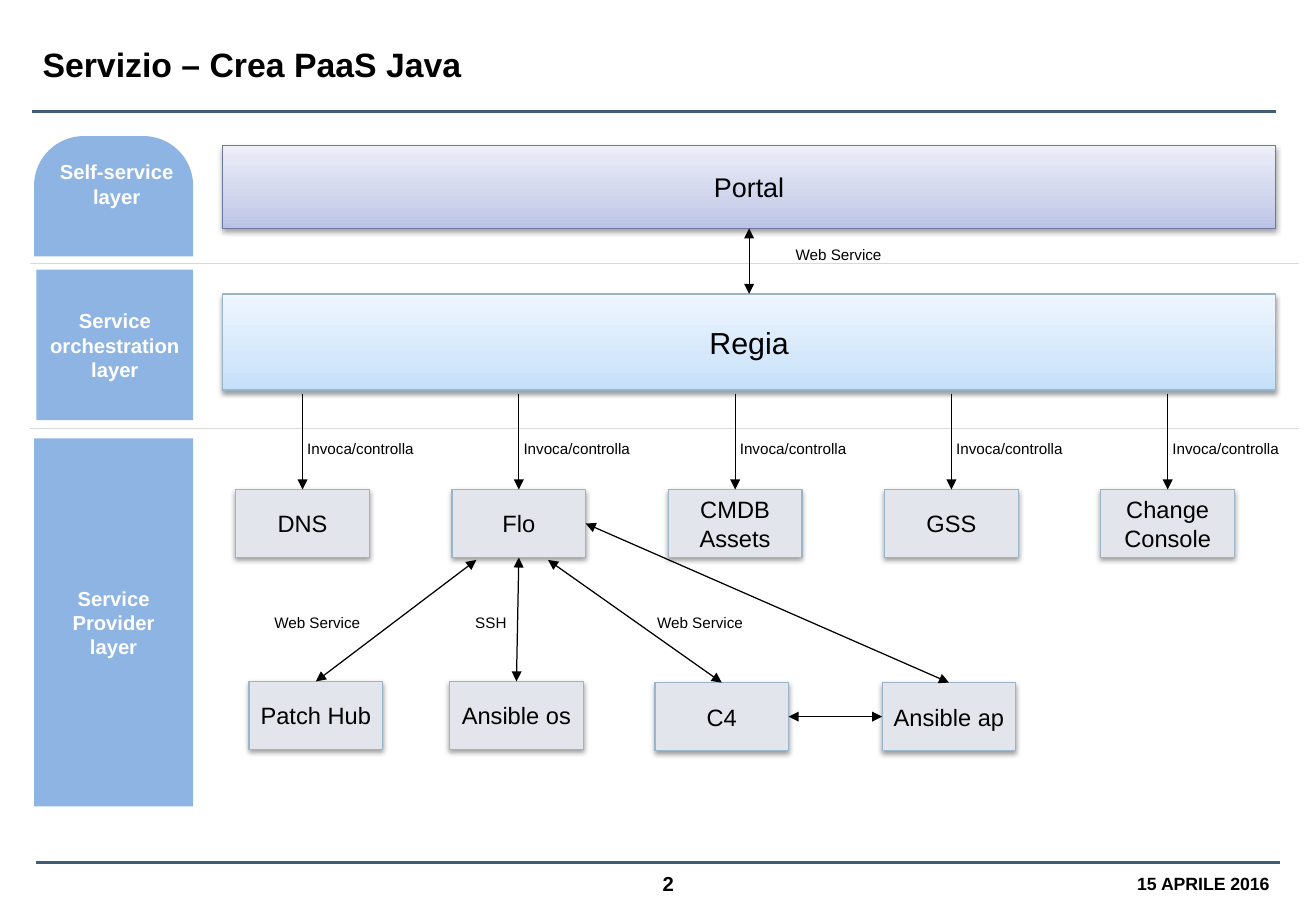
from lxml import etree
from pptx import Presentation
from pptx.dml.color import RGBColor
from pptx.enum.shapes import MSO_CONNECTOR, MSO_SHAPE
from pptx.enum.text import MSO_ANCHOR, PP_ALIGN
from pptx.oxml.ns import qn
from pptx.util import Inches, Pt

COLORS = {
    "black": "000000", "white": "FFFFFF", "rule": "3E5D78", "divider": "D9D9D9",
    "layer": "8EB4E3", "box": "E3E5ED", "box_line": "9AB4CA", "portal_line": "6E79A1",
}
# Gradient stops as (position in percent, colour), from bottom to top
PORTAL_STOPS = [(0, "BBC2E6"), (35, "CFD4EC"), (100, "ECEEF8")]
ENGINE_STOPS = [(0, "C4E0F9"), (35, "D5E8FB"), (100, "EEF6FE")]

BOX_W, BOX_H = 1.1, 0.56
SERVICE_X, SERVICE_Y, SERVICE_STEP = 1.94, 4.03, 1.78
SERVICES = ["DNS", "Flo", "CMDB Assets", "GSS", "Change Console"]
TARGETS = [("Patch Hub", 2.05, 5.61), ("Ansible os", 3.7, 5.61),
           ("C4", 5.39, 5.62), ("Ansible ap", 7.26, 5.62)]
TOP, LEFT, BOTTOM, RIGHT = range(4)


def rgb(name):
    return RGBColor.from_string(COLORS[name])


def write(sp, lines, size, color="black", bold=False, align=PP_ALIGN.CENTER,
          anchor=MSO_ANCHOR.MIDDLE, margins=(0.04, 0.04), wrap=True):
    tf = sp.text_frame
    tf.word_wrap = wrap
    tf.vertical_anchor = anchor
    tf.margin_left = tf.margin_right = Inches(margins[0])
    tf.margin_top = tf.margin_bottom = Inches(margins[1])
    for i, line in enumerate(lines):
        p = tf.add_paragraph() if i else tf.paragraphs[0]
        p.alignment = align
        r = p.add_run()
        r.text = line
        r.font.name = "Arial"
        r.font.size = Pt(size)
        r.font.bold = bold
        r.font.color.rgb = rgb(color)


def add_text(s, box, lines, size, **style):
    sp = s.shapes.add_textbox(*map(Inches, box))
    write(sp, lines, size, **style)


def add_label(s, x, y, w, text, align=PP_ALIGN.CENTER):
    add_text(s, (x, y, w, 0.25), [text], 9, align=align, anchor=MSO_ANCHOR.TOP,
             margins=(0.1, 0.05), wrap=False)


def add_layer(s, box, lines=(), shape=MSO_SHAPE.RECTANGLE):
    sp = s.shapes.add_shape(shape, *map(Inches, box))
    sp.shadow.inherit = False
    sp.fill.solid()
    sp.fill.fore_color.rgb = rgb("layer")
    sp.line.fill.background()
    if lines:
        write(sp, lines, 12, "white", True)
    return sp


def add_shadow(sp):
    sp.shadow.inherit = False
    effects = sp._element.spPr.find(qn("a:effectLst"))
    shadow = etree.SubElement(effects, qn("a:outerShdw"), blurRad="40000", dist="20000",
                              dir="5400000", rotWithShape="0")
    color = etree.SubElement(shadow, qn("a:srgbClr"), val=COLORS["black"])
    etree.SubElement(color, qn("a:alpha"), val="38000")


def set_gradient(sp, stops):
    sp.fill.gradient()
    sp.fill.gradient_angle = 90
    gs_list = sp._element.spPr.find(qn("a:gradFill")).find(qn("a:gsLst"))
    for gs in list(gs_list):
        gs_list.remove(gs)
    for pos, color in stops:
        gs = etree.SubElement(gs_list, qn("a:gs"), pos=str(pos * 1000))
        etree.SubElement(gs, qn("a:srgbClr"), val=color)


def add_block(s, box, text, size=14, stops=None, line="box_line", shape=MSO_SHAPE.RECTANGLE):
    sp = s.shapes.add_shape(shape, *map(Inches, box))
    add_shadow(sp)
    if stops:
        set_gradient(sp, stops)
    else:
        sp.fill.solid()
        sp.fill.fore_color.rgb = rgb("box")
    sp.line.color.rgb = rgb(line)
    sp.line.width = Pt(0.75)
    write(sp, [text], size)
    return sp


def add_line(s, start, end, color="black", width=0.75, heads=()):
    """Each end is an (x, y) point or a (shape, side) pair."""
    points = [(0, 0) if hasattr(e[0], "shape_id") else e for e in (start, end)]
    cxn = s.shapes.add_connector(MSO_CONNECTOR.STRAIGHT,
                                 *(Inches(v) for point in points for v in point))
    for e, connect in ((start, cxn.begin_connect), (end, cxn.end_connect)):
        if hasattr(e[0], "shape_id"):
            connect(*e)
    cxn.line.color.rgb = rgb(color)
    cxn.line.width = Pt(width)
    for head in heads:
        etree.SubElement(cxn.line._get_or_add_ln(), qn(f"a:{head}"), type="triangle")
    etree.SubElement(cxn._element.spPr, qn("a:effectLst"))


def add_frame(s):
    title = s.shapes.title
    title.left, title.top, title.width, title.height = map(Inches, (0.27, 0.28, 6.82, 0.5))
    write(title, ["Servizio – Crea PaaS Java"], 20, bold=True, align=PP_ALIGN.LEFT,
          margins=(0.08, 0.08))
    add_line(s, (0.26, 0.92), (10.5, 0.92), "rule", 2)
    add_line(s, (0.3, 7.1), (10.53, 7.1), "rule", 2)
    add_text(s, (5.36, 7.13, 0.28, 0.28), ["2"], 12, bold=True, wrap=False)
    add_text(s, (9.26, 7.1, 1.27, 0.34), ["15 APRILE 2016"], 10.5, bold=True,
             align=PP_ALIGN.RIGHT, margins=(0.08, 0.08), wrap=False)


def add_layers(s):
    for y in (2.17, 3.53):
        add_line(s, (0.25, y), (10.69, y), "divider")
    arch = add_layer(s, (0.28, 1.12, 1.31, 0.99), shape=MSO_SHAPE.ROUND_2_SAME_RECTANGLE)
    arch.adjustments[0] = 0.414
    add_text(s, (0.3, 1.35, 1.32, 0.33), ["Self-service", "layer"], 12,
             color="white", bold=True)
    add_layer(s, (0.3, 2.22, 1.29, 1.24), ["Service orchestration layer"])
    add_layer(s, (0.28, 3.61, 1.31, 3.03), ["Service Provider", "layer"])


def main():
    prs = Presentation()
    prs.slide_width, prs.slide_height = Inches(10.83), Inches(7.5)
    s = prs.slides.add_slide(prs.slide_layouts[5])
    add_frame(s)
    add_layers(s)

    # Portal and orchestration engine
    portal = add_block(s, (1.83, 1.2, 8.67, 0.68), "Portal", 16, PORTAL_STOPS,
                       "portal_line", MSO_SHAPE.PENTAGON)
    portal.adjustments[0] = 0
    engine = add_block(s, (1.83, 2.42, 8.67, 0.79), "Regia", 18, ENGINE_STOPS)
    both = ("headEnd", "tailEnd")
    add_line(s, (engine, TOP), (portal, BOTTOM), heads=both)
    add_label(s, 6.44, 1.97, 0.92, "Web Service")

    # Services called by the engine
    blocks = {}
    for i, name in enumerate(SERVICES):
        x = SERVICE_X + i * SERVICE_STEP
        blocks[name] = add_block(s, (x, SERVICE_Y, BOX_W, BOX_H), name)
        add_line(s, (x + BOX_W / 2, 3.24), (blocks[name], TOP), heads=("tailEnd",))
        add_label(s, x + 0.49, 3.57, 1.09, "Invoca/controlla", PP_ALIGN.LEFT)

    # Targets driven by the workflow service
    for name, x, y in TARGETS:
        blocks[name] = add_block(s, (x, y, BOX_W, BOX_H), name)
    flow = blocks["Flo"]
    for start, name in (((3.92, 4.61), "Patch Hub"), ((flow, BOTTOM), "Ansible os"),
                        ((4.51, 4.61), "C4"), ((flow, RIGHT), "Ansible ap")):
        add_line(s, start, (blocks[name], TOP), heads=both)
    add_line(s, (blocks["C4"], RIGHT), (blocks["Ansible ap"], LEFT), heads=both)
    for x, w, text in ((2.15, 0.92, "Web Service"), (3.81, 0.46, "SSH"),
                       (5.3, 0.92, "Web Service")):
        add_label(s, x, 5, w, text)

    prs.save("out.pptx")


if __name__ == "__main__":
    main()
